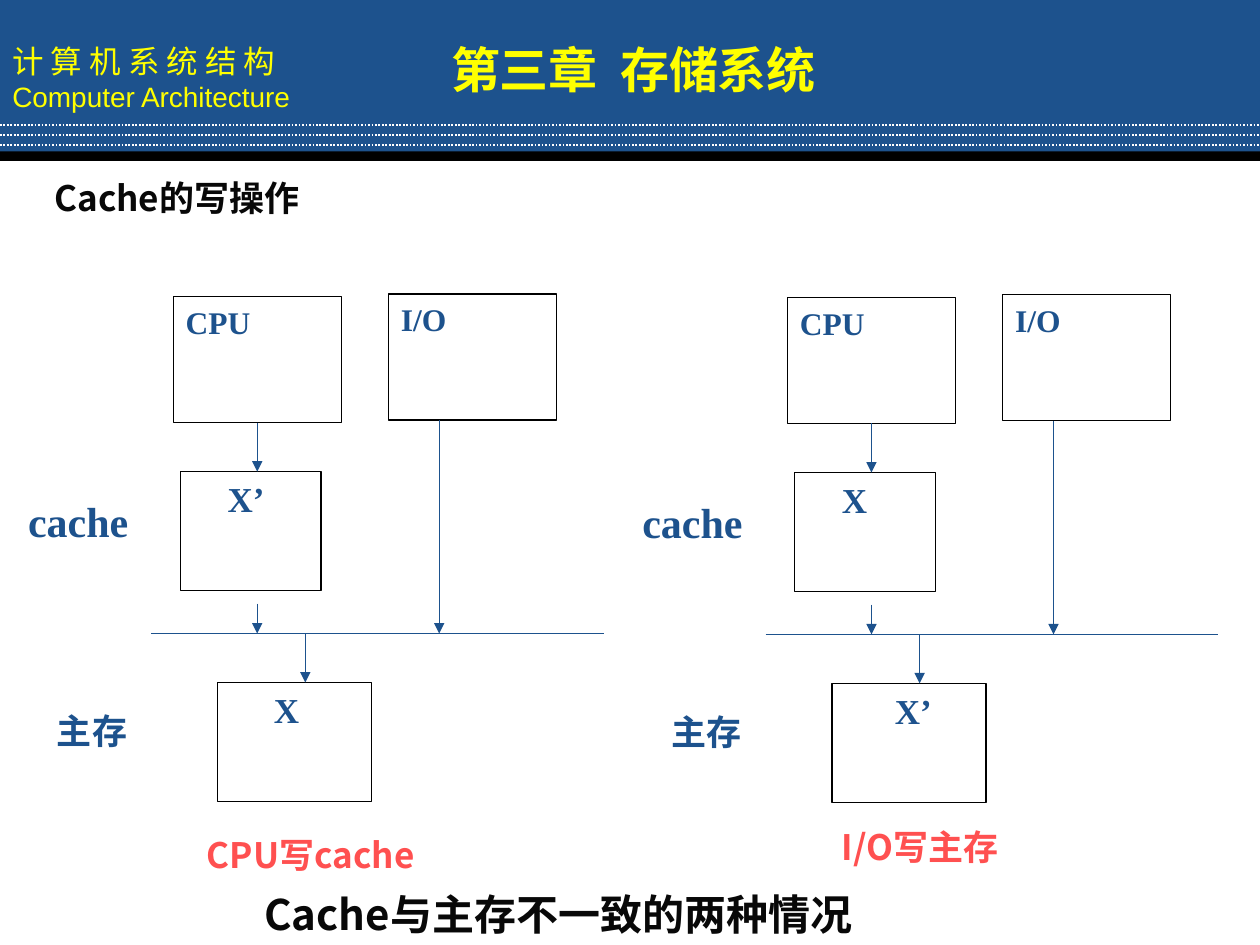
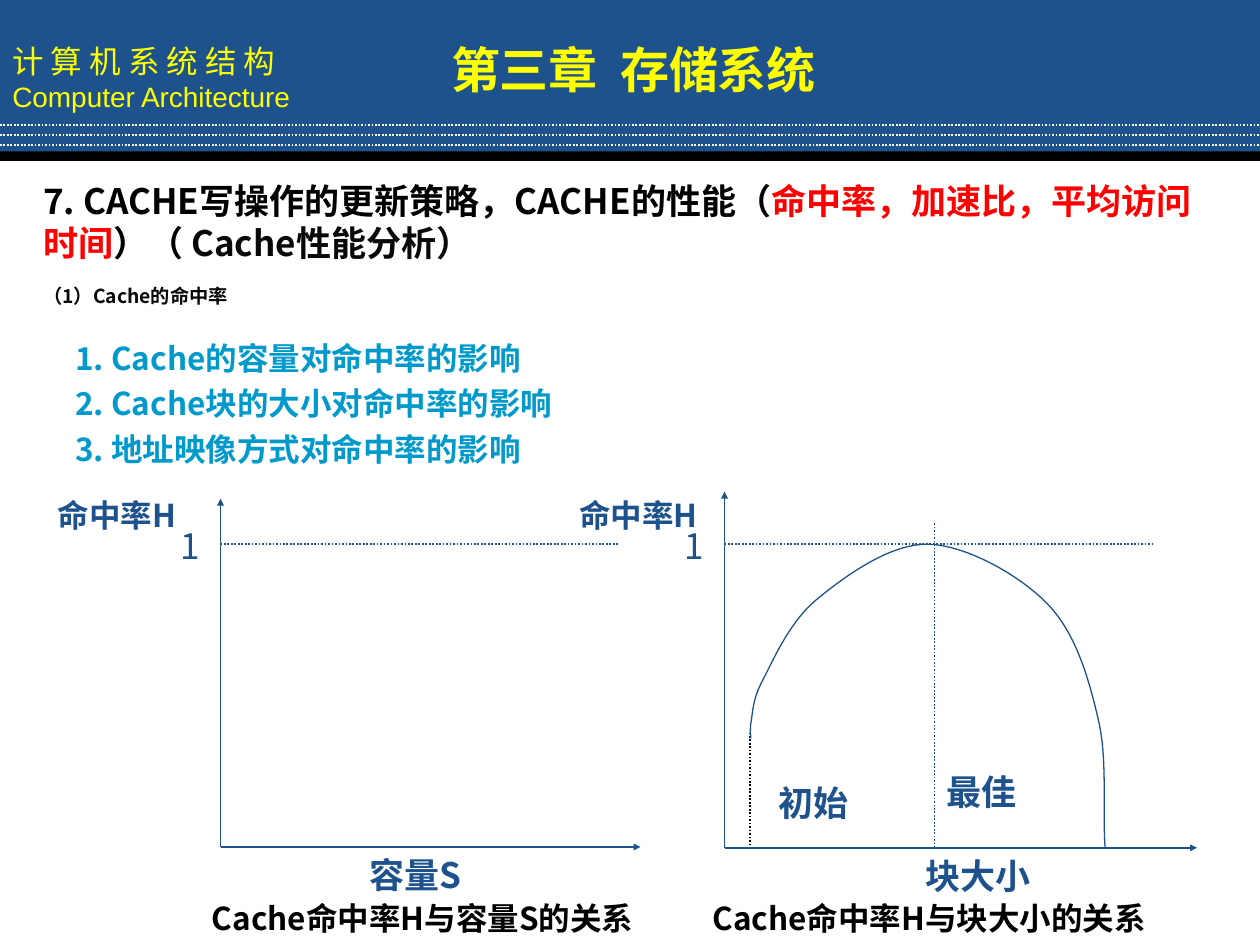
from dataclasses import dataclass
from lxml.etree import SubElement
from pptx import Presentation
from pptx.dml.color import RGBColor as RGB
from pptx.enum.dml import MSO_LINE as Dash
from pptx.enum.shapes import MSO_CONNECTOR as Conn, MSO_SHAPE as Kind
from pptx.enum.text import MSO_ANCHOR as Anchor, PP_ALIGN as Align
from pptx.oxml.ns import qn
from pptx.util import Pt


@dataclass(frozen=True)
class Theme:
    blue: str = "1D528D"
    yellow: str = "FFFF00"
    white: str = "FFFFFF"
    black: str = "000000"
    ink: str = "080808"
    coral: str = "FF5050"
    red: str = "FF0000"
    cyan: str = "0099CC"
    sans: str = "Noto Sans CJK SC"
    arial: str = "Arial"
    serif: str = "Times New Roman"
    title: int = 28
    big: int = 24
    mid: int = 20
    small: int = 18
    sub: int = 16
    tiny: int = 11
    thin: float = 0.75
    rule: float = 1


T = Theme()

COURSE = ("计 算 机 系 统 结 构", "Computer Architecture")
CHAPTER = "第三章  存储系统"

WRITE = "Cache的写操作"
CLASH = "Cache与主存不一致的两种情况"
# Each panel: left, top, cache (text, indent), memory (text, indent, align), note (text, x, y)
PANELS = [
    (0, 0, ("X’", 20), ("X", 25, Align.LEFT), ("CPU写cache", 111, 473)),
    (351, 0.5, ("X", 20), ("X’", 5, Align.CENTER), ("I/O写主存", 474, 468)),
]

POLICY = [
    ("7. CACHE写操作的更新策略，CACHE的性能（", T.black),
    ("命中率，加速比，平均访问时间", T.red),
    ("）（ ", T.black),
    ("Cache性能分析）", T.ink),
]
RATE = "（1）Cache的命中率"
CAUSES = [
    "1. Cache的容量对命中率的影响",
    "2. Cache块的大小对命中率的影响",
    "3. 地址映像方式对命中率的影响",
]
# One dict per plot, in points
PLOTS = [
    dict(x=126, y=484, top=285, right=366, limit=354, name_x=26,
         size=("容量S", 204), note=("Cache命中率H与容量S的关系", 114)),
    dict(x=414, y=484.5, top=281, right=684, limit=660, name_x=324,
         size=("块大小", 522), note=("Cache命中率H与块大小的关系", 400)),
]
FULL = 311
MARKS = [("初始", 438, 443), ("最佳", 534, 437)]
START = (429, 422)
BENDS = [
    ((429, 417), (428.5, 422.5), (429, 414)),
    ((430.5, 405.5), (430, 399.5), (436.5, 387.5)),
    ((443, 375), (452, 354), (468, 341.5)),
    ((484, 328.5), (509, 310.5), (530.5, 311)),
    ((552, 311.5), (582.5, 328.5), (598.5, 345)),
    ((615, 362), (622, 387.5), (627.5, 410.5)),
    ((633, 433.5), (630, 459.5), (631.5, 484.5)),
]


def write(para, text, size, color, face=T.sans, bold=True):
    run = para.add_run()
    run.text = text
    font = run.font
    font.name, font.size, font.bold = face, Pt(size), bold
    font.color.rgb = RGB.from_string(color)
    SubElement(font._element, qn("a:ea")).set("typeface", T.sans)


def indent(para, left, first=0):
    props = para._p.get_or_add_pPr()
    props.set("marL", str(Pt(left)))
    props.set("indent", str(Pt(first)))


def frame(shape, anchor=Anchor.TOP, align=Align.LEFT):
    """Set up a shape's text and return its first paragraph."""
    text = shape.text_frame
    text.word_wrap = True
    text.vertical_anchor = anchor
    para = text.paragraphs[0]
    para.alignment = align
    return para


def label(slide, text, x, y, wide, size, color, face=T.sans, bold=True):
    box = slide.shapes.add_textbox(Pt(x), Pt(y), Pt(wide), Pt(size * 1.2 + 8))
    write(frame(box), text, size, color, face, bold)


def block(slide, x, y, wide, high, fill=None, line=None):
    shape = slide.shapes.add_shape(Kind.RECTANGLE, Pt(x), Pt(y), Pt(wide), Pt(high))
    shape.shadow.inherit = False
    if fill:
        shape.fill.solid()
        shape.fill.fore_color.rgb = RGB.from_string(fill)
    else:
        shape.fill.background()
    if line:
        shape.line.color.rgb = RGB.from_string(line)
        shape.line.width = Pt(T.thin)
    else:
        shape.line.fill.background()
    return shape


def link(slide, start, end, color=T.blue, width=T.rule, dash=None, head=None):
    """Draw a straight line; head is the arrowhead size, sm or med."""
    line = slide.shapes.add_connector(Conn.STRAIGHT, *map(Pt, start + end))
    line.line.color.rgb = RGB.from_string(color)
    line.line.width = Pt(width)
    if dash:
        line.line.dash_style = dash
    if head:
        tail = SubElement(line.line._get_or_add_ln(), qn("a:tailEnd"))
        for key, value in (("type", "triangle"), ("w", head), ("len", head)):
            tail.set(key, value)
    SubElement(line._element.spPr, qn("a:effectLst"))
    return line


def start(deck):
    """Add a slide with the shared band, rules and chapter title."""
    slide = deck.slides.add_slide(deck.slide_layouts[6])
    band = block(slide, 0, 0, 720, 88.5, T.blue)
    write(frame(band, Anchor.MIDDLE), COURSE[0], T.small, T.yellow, bold=False)
    para = band.text_frame.add_paragraph()
    para.alignment = Align.LEFT
    write(para, COURSE[1], T.sub, T.yellow, T.arial, False)
    block(slide, 0, 86.5, 720, 5.5, T.black)
    for i in range(3):
        y = 71.5 + 5.7 * i
        link(slide, (0, y), (720, y), T.white, dash=Dash.ROUND_DOT)
    head = block(slide, 232, 13, 260, 47, T.blue)
    write(frame(head, Anchor.BOTTOM, Align.CENTER), CHAPTER, T.title, T.yellow)
    return slide


def panel(slide, dx, dy, cache, store, note):
    def node(x, y, wide, high, text, size, pad=0, align=Align.LEFT):
        shape = block(slide, x + dx, y + dy, wide, high, line=T.black)
        para = frame(shape, align=align)
        indent(para, pad)
        write(para, text, size, T.blue, T.serif)
        return shape

    def wire(x, y, x2, y2, head="med"):
        return link(slide, (x + dx, y + dy), (x2 + dx, y2 + dy),
                    width=T.thin, head=head)

    bus = 362
    cpu = node(99, 169.5, 96, 72, "CPU", T.small)
    node(222, 168, 96, 72, "I/O", T.small)
    node(103, 269.5, 80.5, 68, cache[0], T.mid, cache[1])
    node(124.5, 390, 88, 68, store[0], T.mid, *store[1:])
    wire(147, 241.5, 147, 269.5).begin_connect(cpu, 2)
    wire(147, 345, 147, bus)
    wire(251, 240, 251, bus)
    wire(174.5, bus, 174.5, 390)
    wire(86.5, bus, 345, bus, None)
    label(slide, "cache", 9 + dx, 279.5 + dy, 83, T.big, T.blue, T.serif)
    label(slide, "主存", 25.5 + dx, 402 + dy, 83, T.mid, T.blue, T.serif)
    label(slide, *note, 168, T.mid, T.coral)


def plot(slide, x, y, top, right, limit, name_x, size, note):
    link(slide, (x, y), (right, y), head="sm")
    link(slide, (x, y), (x, top), head="sm")
    link(slide, (x, FULL), (limit, FULL), dash=Dash.ROUND_DOT)
    label(slide, "命中率H", name_x, 280, 96, T.small, T.blue)
    label(slide, "1", x - 30, 296, 30, T.mid, T.blue, bold=False)
    label(slide, size[0], size[1], y, 114, T.mid, T.blue)
    label(slide, note[0], note[1], 510, 290, T.small, T.black)


def curve(slide, steps=16):
    """Trace the cubic bends as one open outline."""
    dots, a = [], START
    for b, c, d in BENDS:
        for i in range(1, steps + 1):
            t = i / steps
            u = 1 - t
            dots.append(tuple(
                Pt(u**3 * p + 3 * u * u * t * q + 3 * u * t * t * r + t**3 * s)
                for p, q, r, s in zip(a, b, c, d)))
        a = d
    path = slide.shapes.build_freeform(*map(Pt, START), scale=1)
    path.add_line_segments(dots, close=False)
    shape = path.convert_to_shape()
    shape.shadow.inherit = False
    shape.fill.background()
    shape.line.color.rgb = RGB.from_string(T.blue)
    shape.line.width = Pt(T.thin)


def clash(deck):
    slide = start(deck)
    label(slide, WRITE, 24, 97.5, 492, T.mid, T.ink)
    for item in PANELS:
        panel(slide, *item)
    label(slide, CLASH, 144, 504, 380, T.big, T.ink)


def rate(deck):
    slide = start(deck)
    box = slide.shapes.add_textbox(Pt(17.5), Pt(99), Pt(685), Pt(55))
    para = frame(box)
    for text, color in POLICY:
        write(para, text, T.mid, color)
    label(slide, RATE, 17.5, 159, 276, T.tiny, T.ink)
    box = slide.shapes.add_textbox(Pt(36), Pt(190), Pt(630), Pt(90))
    para = frame(box)
    for i, text in enumerate(CAUSES):
        if i:
            para = box.text_frame.add_paragraph()
            para.space_before = Pt(4.5)
        indent(para, 27, -27)
        write(para, text, T.small, T.cyan)
    for item in PLOTS:
        plot(slide, **item)
    link(slide, (534, 299), (534, 484.5), dash=Dash.ROUND_DOT)
    link(slide, (428.5, 483), (428.5, 419), T.black, dash=Dash.ROUND_DOT)
    for text, x, y in MARKS:
        label(slide, text, x, y, 72, T.mid, T.blue)
    curve(slide)


def main():
    deck = Presentation()
    deck.slide_width, deck.slide_height = Pt(720), Pt(540)
    clash(deck)
    rate(deck)
    deck.save("out.pptx")


if __name__ == "__main__":
    main()
